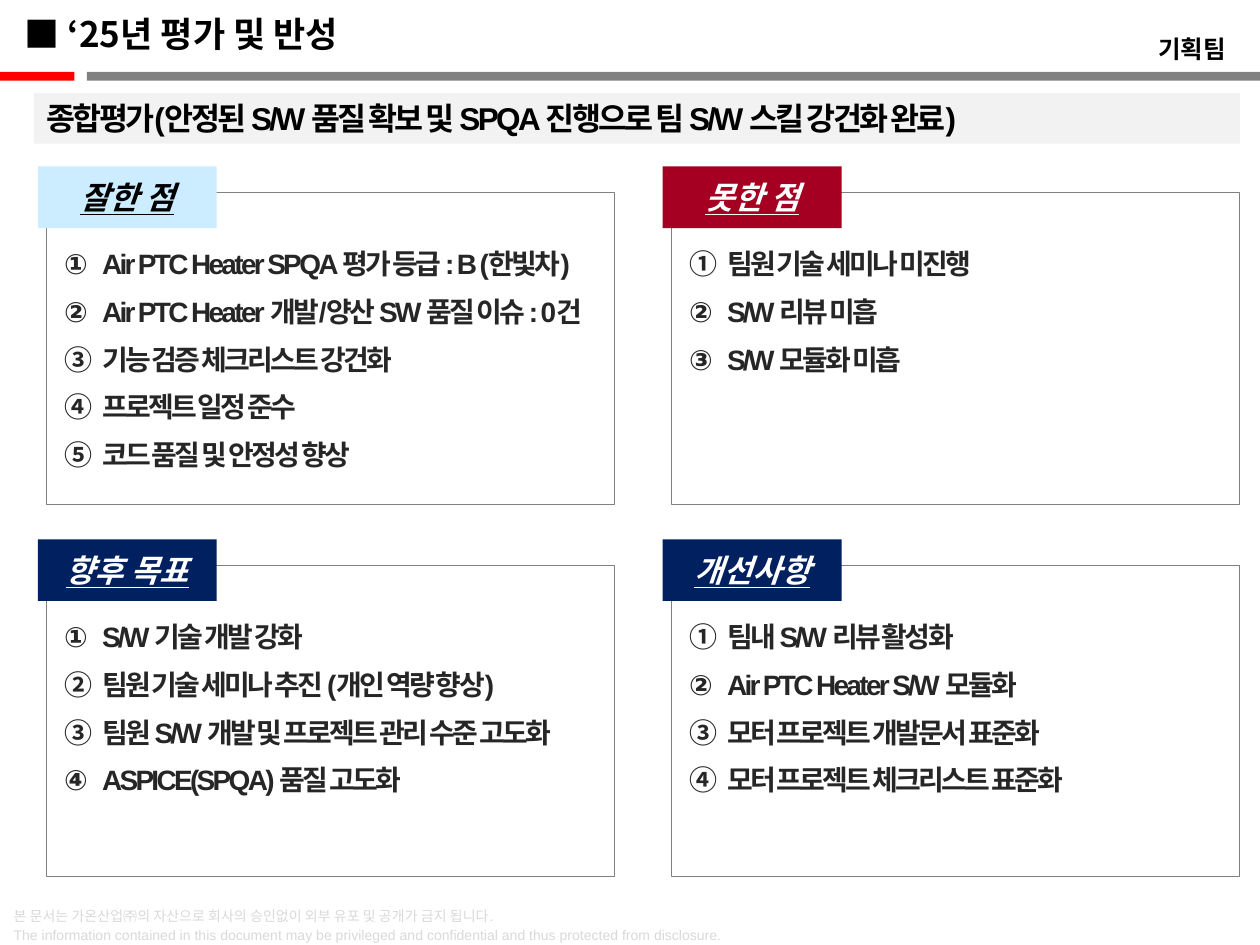
import pptx
import pptx.util
import pptx.dml.color
import pptx.enum.shapes
import pptx.enum.text
import pptx.oxml.ns
from lxml import etree

Inches, Pt = pptx.util.Inches, pptx.util.Pt
ALIGN = pptx.enum.text.PP_ALIGN
ANCHOR = pptx.enum.text.MSO_ANCHOR
SHAPES = pptx.enum.shapes.MSO_SHAPE
KOREAN = "Noto Sans CJK KR"
COLORS = {
    "red": "FF0000", "gray": "808080", "notice": "D9D9D9", "banner": "F2F2F2",
    "black": "000000", "white": "FFFFFF", "body": "262626",
    "sky": "CCECFF", "crimson": "A50021", "navy": "002060",
}

deck = pptx.Presentation()
deck.slide_width, deck.slide_height = Inches(10), Inches(7.5)
page = deck.slides.add_slide(deck.slide_layouts[6])


def add_block(left, top, width, height, fill, line=None, kind=SHAPES.RECTANGLE):
    block = page.shapes.add_shape(
        kind, Inches(left), Inches(top), Inches(width), Inches(height))
    block.shadow.inherit = False
    block.fill.solid()
    block.fill.fore_color.rgb = pptx.dml.color.RGBColor.from_string(COLORS[fill])
    if line:
        block.line.color.rgb = pptx.dml.color.RGBColor.from_string(COLORS[line])
        block.line.width = Pt(0.5)
    else:
        block.line.fill.background()
    return block


def write(para, text, size, color, font=KOREAN, bold=True, spacing=None):
    span = para.add_run()
    span.text = text
    span.font.size, span.font.bold, span.font.name = Pt(size), bold, font
    span.font.color.rgb = pptx.dml.color.RGBColor.from_string(COLORS[color])
    properties = span.font._element
    etree.SubElement(properties, pptx.oxml.ns.qn("a:ea"), typeface=KOREAN)
    if spacing:
        properties.set("spc", str(round(spacing * 100)))
    return span


# Header rule
add_block(0, 0.57, 0.59, 0.07, "red")
add_block(0.69, 0.57, 9.31, 0.07, "gray")

# Confidentiality notice
box = page.shapes.add_textbox(Inches(0.01), Inches(7.13), Inches(7.4), Inches(0.41))
box.text_frame.word_wrap = True
notices = [
    "본 문서는 가온산업㈜의 자산으로 회사의 승인없이 외부 유포 및 공개가 금지 됩니다.",
    "The information contained in this document may be privileged and "
    "confidential and thus protected from disclosure.",
]
for index, notice in enumerate(notices):
    para = box.text_frame.add_paragraph() if index else box.text_frame.paragraphs[0]
    para.line_spacing = Pt(11)
    write(para, notice, 8, "notice", "Arial", bold=False)

# Title and team name
headings = [
    (0.1, 0.05, 2.96, 0.44, "■ ‘25년 평가 및 반성", 20, ALIGN.LEFT),
    (9.04, 0.22, 0.79, 0.34, "기획팀", 14, ALIGN.RIGHT),
]
for left, top, width, height, text, size, align in headings:
    box = page.shapes.add_textbox(
        Inches(left), Inches(top), Inches(width), Inches(height))
    box.text_frame.word_wrap = False
    box.text_frame.auto_size = pptx.enum.text.MSO_AUTO_SIZE.SHAPE_TO_FIT_TEXT
    para = box.text_frame.paragraphs[0]
    para.alignment = align
    write(para, text, size, "black")

# Overall assessment banner
banner = add_block(0.27, 0.74, 9.57, 0.4, "banner")
banner.text_frame.vertical_anchor = ANCHOR.TOP
para = banner.text_frame.paragraphs[0]
para.alignment = ALIGN.LEFT
para.space_after = Pt(6)
write(para, "종합평가(안정된 S/W 품질 확보 및 SPQA 진행으로 팀 S/W 스킬 강건화 완료)",
      18, "black", "Arial", spacing=-1.5)

# Four review panels, two by two
panels = [
    ("잘한 점", "sky", "black", [
        "Air PTC Heater SPQA 평가 등급 : B (한빛차)",
        "Air PTC Heater 개발/양산 SW 품질 이슈 : 0건",
        "기능 검증 체크리스트 강건화",
        "프로젝트 일정 준수",
        "코드 품질 및 안정성 향상"]),
    ("못한 점", "crimson", "white", [
        "팀원 기술 세미나 미진행",
        "S/W 리뷰 미흡",
        "S/W 모듈화 미흡"]),
    ("향후 목표", "navy", "white", [
        "S/W 기술 개발 강화",
        "팀원 기술 세미나 추진 (개인 역량 향상)",
        "팀원 S/W 개발 및 프로젝트 관리 수준 고도화",
        "ASPICE(SPQA) 품질 고도화"]),
    ("개선사항", "navy", "white", [
        "팀내 S/W 리뷰 활성화",
        "Air PTC Heater S/W 모듈화",
        "모터 프로젝트 개발문서 표준화",
        "모터 프로젝트 체크리스트 표준화"]),
]
for number, (label, fill, color, items) in enumerate(panels):
    row, column = divmod(number, 2)
    left, top = 0.3 + column * 4.96, 1.32 + row * 2.96

    frame = add_block(left + 0.07, top + 0.21, 4.51, 2.47, "white", "gray",
                      SHAPES.ROUNDED_RECTANGLE)
    frame.adjustments[0] = 0

    box = page.shapes.add_textbox(
        Inches(left + 0.21), Inches(top + 0.64), Inches(4.38),
        Inches(0.38 * len(items)))
    text_frame = box.text_frame
    text_frame.word_wrap = True
    text_frame.margin_left = text_frame.margin_right = 0
    text_frame.margin_top = text_frame.margin_bottom = 0
    for index, item in enumerate(items):
        para = text_frame.add_paragraph() if index else text_frame.paragraphs[0]
        properties = para._p.get_or_add_pPr()
        properties.set("marL", str(Inches(0.3)))
        properties.set("indent", str(Inches(-0.3)))
        etree.SubElement(properties, pptx.oxml.ns.qn("a:buAutoNum"),
                         type="circleNumDbPlain")
        para.space_after = Pt(8)
        write(para, item, 16, "body", "Arial", spacing=-1.5)

    tag = add_block(left, top, 1.42, 0.49, fill)
    tag.text_frame.vertical_anchor = ANCHOR.MIDDLE
    para = tag.text_frame.paragraphs[0]
    para.alignment = ALIGN.CENTER
    span = write(para, label, 18, color)
    span.font.italic = span.font.underline = True

deck.save("out.pptx")
